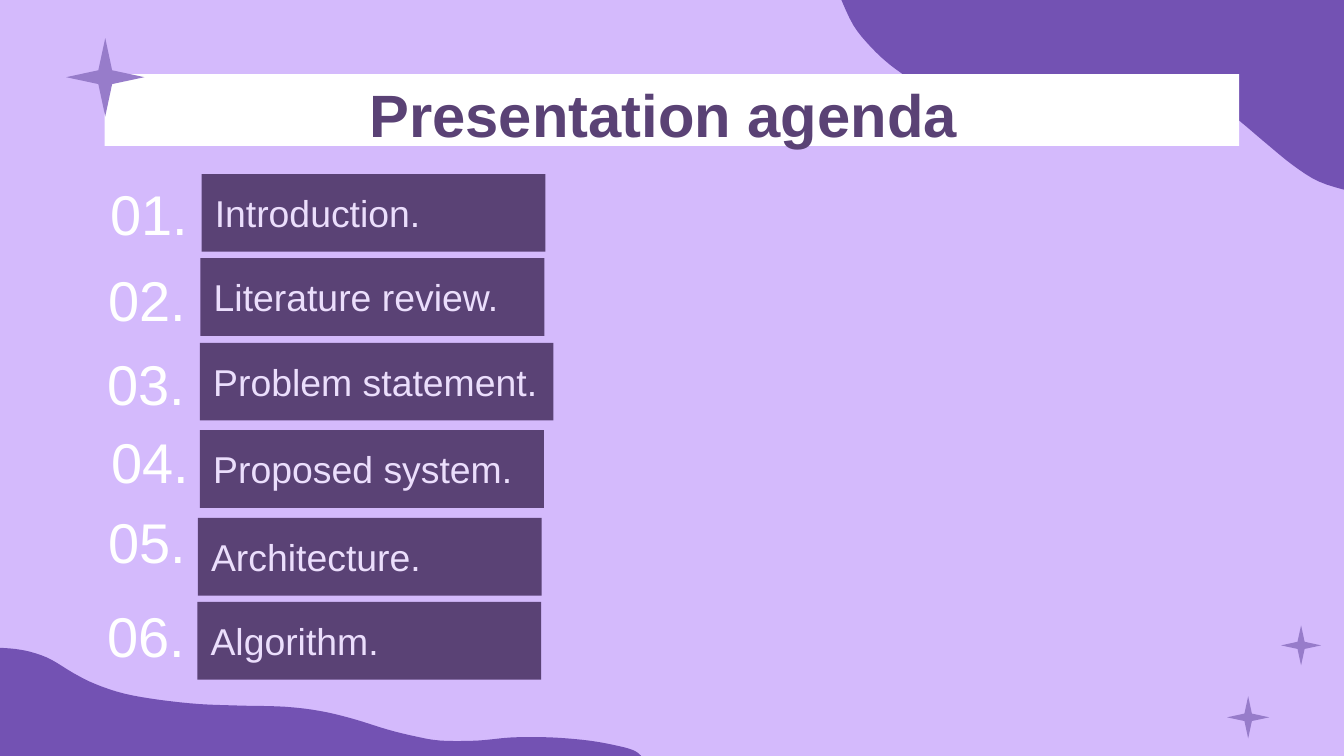
from dataclasses import dataclass

from pptx import Presentation
from pptx.dml.color import RGBColor
from pptx.enum import shapes, text
from pptx.util import Cm, Pt

COLOURS = {
    "lilac": "D4BAFC",
    "wave": "7352B3",
    "plum": "5A4275",
    "pale": "EBDEFC",
    "star": "977CCA",
    "white": "FFFFFF",
}
FONT = "Arial"
BAR_HEIGHT = 1.47
NUMBER_WIDTH, NUMBER_HEIGHT = 3.53, 1.65
Point = tuple[float, float]


@dataclass
class AgendaItem:
    label: str
    bar_left: float
    bar_top: float
    number_left: float
    number_top: float
    bar_width: float = 6.5


@dataclass
class Star:
    left: float
    top: float
    size: float


@dataclass
class Wave:
    curve: list[Point]
    corner: Point


AGENDA = [
    AgendaItem("Introduction.", 3.81, 3.29, 1.83, 3.2),
    AgendaItem("Literature review.", 3.79, 4.88, 1.8, 4.83),
    AgendaItem("Problem statement.", 3.78, 6.48, 1.78, 6.41, 6.68),
    AgendaItem("Proposed system.", 3.78, 8.13, 1.85, 7.9),
    AgendaItem("Architecture.", 3.74, 9.79, 1.8, 9.4),
    AgendaItem("Algorithm.", 3.73, 11.38, 1.78, 11.18),
]
STARS = [Star(23.19, 13.16, 0.8), Star(1.25, 0.72, 1.48), Star(24.21, 11.82, 0.76)]
WAVES = [
    Wave([(15.88, -0.05), (16.13, 0.48), (16.46, 0.89), (16.84, 1.24), (17.27, 1.52),
          (17.86, 1.73), (18.36, 1.83), (19.05, 1.88), (19.81, 1.8), (20.8, 1.68),
          (21.46, 1.63), (22.17, 1.7), (22.78, 1.88), (23.29, 2.18), (23.88, 2.67),
          (24.43, 3.12), (24.92, 3.43), (25.48, 3.61)], (25.48, -0.05)),
    Wave([(-0.1, 12.24), (0.3, 12.27), (0.64, 12.34), (0.97, 12.47), (1.4, 12.73),
          (1.8, 12.93), (2.34, 13.11), (3.02, 13.23), (3.78, 13.31), (4.6, 13.34),
          (5.38, 13.36), (6.05, 13.44), (6.68, 13.59), (7.32, 13.79), (7.85, 13.92),
          (8.33, 14), (9.02, 14), (9.68, 13.94), (10.41, 13.94), (11.13, 14),
          (11.68, 14.1), (12.01, 14.2), (12.17, 14.35)], (-0.1, 14.35)),
]


def colour(name: str) -> RGBColor:
    return RGBColor.from_string(COLOURS[name])


def smooth(knots: list[Point], steps: int = 4) -> list[Point]:
    """Catmull-Rom curve through the knots."""
    padded = [knots[0], *knots, knots[-1]]
    curve = [knots[0]]
    for quad in zip(padded, padded[1:], padded[2:], padded[3:]):
        for step in range(1, steps + 1):
            t = step / steps
            x, y = (
                (2 * b + (c - a) * t + (2 * a - 5 * b + 4 * c - d) * t**2
                 + (3 * b - a - 3 * c + d) * t**3) / 2
                for a, b, c, d in zip(*quad)
            )
            curve.append((x, y))
    return curve


def paint(shape, fill: str) -> None:
    shape.shadow.inherit = False
    shape.fill.solid()
    shape.fill.fore_color.rgb = colour(fill)
    shape.line.fill.background()


def draw_wave(page, wave: Wave) -> None:
    start, *rest = [(Cm(x), Cm(y)) for x, y in [*smooth(wave.curve), wave.corner]]
    builder = page.shapes.build_freeform(*start)
    builder.add_line_segments(rest, close=True)
    paint(builder.convert_to_shape(), "wave")


def draw_star(page, star: Star) -> None:
    shape = page.shapes.add_shape(shapes.MSO_SHAPE.STAR_4_POINT, Cm(star.left),
                                  Cm(star.top), Cm(star.size), Cm(star.size))
    shape.adjustments[0] = 0.125
    paint(shape, "star")


def draw_bar(page, left: float, top: float, width: float, height: float, fill: str):
    bar = page.shapes.add_shape(shapes.MSO_SHAPE.RECTANGLE, Cm(left), Cm(top),
                                Cm(width), Cm(height))
    paint(bar, fill)
    return bar


def write(box, words: str, size: float, ink: str, *, bold: bool = False,
          align=text.PP_ALIGN.LEFT, inset_top: float = 0.25) -> None:
    frame = box.text_frame
    frame.word_wrap = True
    frame.vertical_anchor = text.MSO_ANCHOR.MIDDLE
    frame.margin_left = frame.margin_right = frame.margin_bottom = Cm(0.25)
    frame.margin_top = Cm(inset_top)
    para = frame.paragraphs[0]
    para.text = words
    para.alignment = align
    para.font.name = FONT
    para.font.size = Pt(size)
    para.font.bold = bold
    para.font.color.rgb = colour(ink)


def draw_item(page, number: int, item: AgendaItem) -> None:
    bar = draw_bar(page, item.bar_left, item.bar_top, item.bar_width, BAR_HEIGHT, "plum")
    write(bar, item.label, 20, "pale")
    box = page.shapes.add_textbox(Cm(item.number_left), Cm(item.number_top),
                                  Cm(NUMBER_WIDTH), Cm(NUMBER_HEIGHT))
    write(box, f"{number:02}.", 30, "white")


# Deck and background
deck = Presentation()
deck.slide_width, deck.slide_height = Cm(25.4), Cm(14.29)
page = deck.slides.add_slide(deck.slide_layouts[6])
page.background.fill.solid()
page.background.fill.fore_color.rgb = colour("lilac")
for wave in WAVES:
    draw_wave(page, wave)

# Agenda
for number, item in enumerate(AGENDA, start=1):
    draw_item(page, number, item)

# Title
title = draw_bar(page, 1.98, 1.4, 21.44, 1.36, "white")
write(title, "Presentation agenda ", 32, "plum", bold=True,
      align=text.PP_ALIGN.CENTER, inset_top=0.38)

# Stars
for star in STARS:
    draw_star(page, star)

deck.save("out.pptx")
